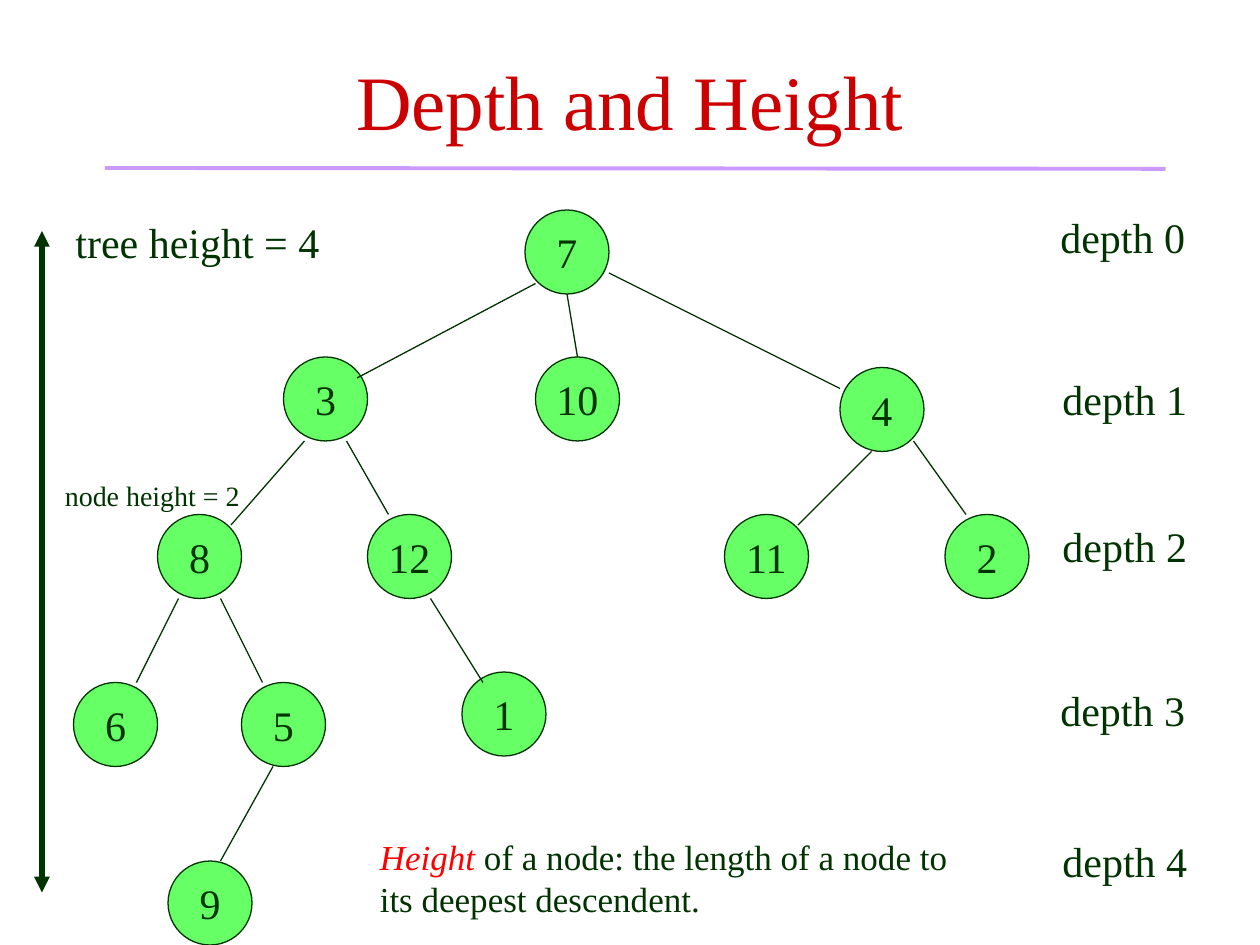
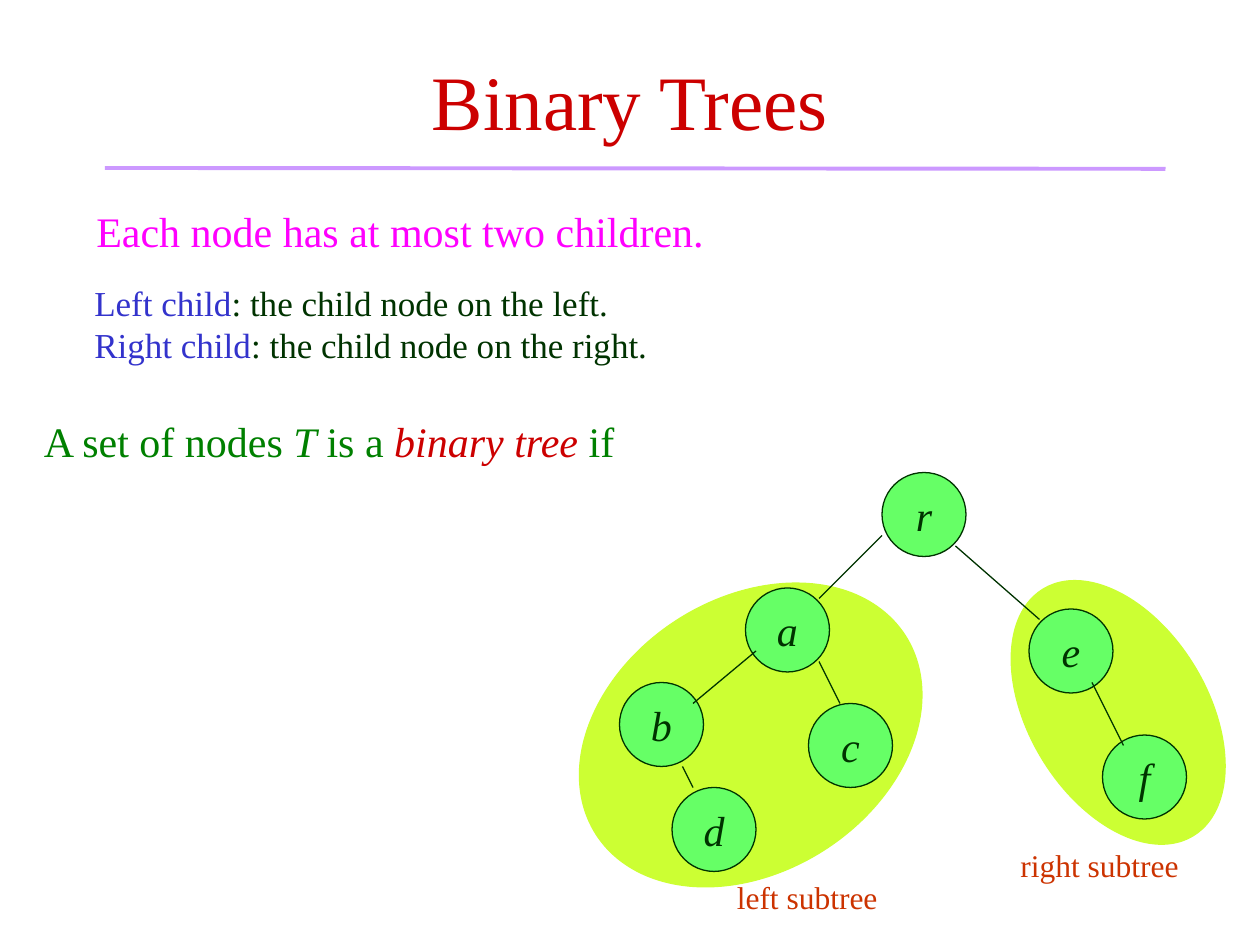
import pptx
import pptx.util
import pptx.dml.color
import pptx.enum.shapes
import pptx.enum.text
import pptx.oxml.ns
import lxml.etree

COLS, ROWS = 120, 90
FACE = "Times New Roman"
DARK, RED, HOT = "003300", "CC0000", "FF0000"
LEAF, LIME, LILAC = "66FF66", "CCFF33", "CC99FF"
PINK, BLUE, GREEN, RUST = "FF00FF", "3333CC", "008000", "CC3300"
DISC = 8


def tint(code):
    return pptx.dml.color.RGBColor.from_string(code)


class Deck:
    def __init__(self):
        self.file = pptx.Presentation()
        self.file.slide_width = pptx.util.Inches(10)
        self.file.slide_height = pptx.util.Inches(7.5)
        self.page = None

    def grid(self, x, y):
        return (round(x * self.file.slide_width / COLS),
                round(y * self.file.slide_height / ROWS))

    def place(self, x, y, w, h):
        return self.grid(x, y) + self.grid(w, h)

    def style(self, item, size, code, slant=False):
        item.font.name = FACE
        item.font.size = pptx.util.Pt(size)
        item.font.color.rgb = tint(code)
        item.font.italic = slant

    def start(self, title):
        self.page = self.file.slides.add_slide(self.file.slide_layouts[5])
        head = self.page.shapes.title
        head.left, head.top, head.width, head.height = self.place(9, 2, 102, 15)
        head.text_frame.text = title
        head.text_frame.vertical_anchor = pptx.enum.text.MSO_ANCHOR.MIDDLE
        line = head.text_frame.paragraphs[0]
        line.alignment = pptx.enum.text.PP_ALIGN.CENTER
        self.style(line, 44, RED)
        self.line(10, 16, 111, 16.08, LILAC, 2.25)

    def line(self, x1, y1, x2, y2, code=DARK, width=0.75, heads=False):
        link = self.page.shapes.add_connector(
            pptx.enum.shapes.MSO_CONNECTOR.STRAIGHT,
            *self.grid(x1, y1), *self.grid(x2, y2))
        link.line.color.rgb = tint(code)
        link.line.width = pptx.util.Pt(width)
        if heads:
            stroke = link.line._get_or_add_ln()
            for end in ("a:headEnd", "a:tailEnd"):
                lxml.etree.SubElement(stroke, pptx.oxml.ns.qn(end), type="triangle")
        lxml.etree.SubElement(link._element.spPr, pptx.oxml.ns.qn("a:effectLst"))

    def oval(self, x, y, w, h, fill, edge, turn=0):
        form = self.page.shapes.add_shape(
            pptx.enum.shapes.MSO_SHAPE.OVAL, *self.place(x, y, w, h))
        form.shadow.inherit = False
        form.fill.solid()
        form.fill.fore_color.rgb = tint(fill)
        form.line.color.rgb = tint(edge)
        form.line.width = pptx.util.Pt(0.75)
        form.rotation = turn
        return form

    def node(self, name, x, y, slant=False):
        frame = self.oval(x, y, DISC, DISC, LEAF, DARK).text_frame
        frame.word_wrap = False
        frame.vertical_anchor = pptx.enum.text.MSO_ANCHOR.MIDDLE
        frame.text = name
        frame.paragraphs[0].alignment = pptx.enum.text.PP_ALIGN.CENTER
        self.style(frame.paragraphs[0], 24, DARK, slant)

    def tree(self, nodes, links, slant=False):
        for name, x, y in nodes:
            self.node(name, x, y, slant)
        for ends in links:
            self.line(*ends)

    def text(self, x, y, w, h, size, code, *lines):
        frame = self.page.shapes.add_textbox(*self.place(x, y, w, h)).text_frame
        frame.word_wrap = False
        frame.auto_size = pptx.enum.text.MSO_AUTO_SIZE.SHAPE_TO_FIT_TEXT
        for i, runs in enumerate(lines):
            para = frame.add_paragraph() if i else frame.paragraphs[0]
            self.style(para, size, code)
            for words, hue, slant in runs:
                run = para.add_run()
                run.text = words
                if hue != code:
                    run.font.color.rgb = tint(hue)
                if slant:
                    run.font.italic = True

    def label(self, x, y, w, h, words, size=24, code=DARK):
        self.text(x, y, w, h, size, code, [(words, code, False)])


deck = Deck()

deck.start("Depth and Height")
deck.tree(
    [("7", 50, 20), ("3", 27, 34), ("10", 51, 34), ("4", 80, 35),
     ("8", 15, 49), ("12", 35, 49), ("11", 69, 49), ("2", 90, 49),
     ("6", 7, 65), ("5", 23, 65), ("1", 44, 64), ("9", 16, 82)],
    [(54, 28, 55, 34), (51, 27, 34, 36), (58, 26, 80, 37),
     (29, 42, 22, 50), (33, 42, 37, 49), (83, 43, 76, 50),
     (87, 42, 92, 49), (17, 57, 13, 65), (21, 57, 25, 65),
     (41, 57, 46, 65), (26, 73, 21, 82)])
deck.line(4, 85, 4, 22, width=3, heads=True)
deck.label(6, 20, 25.8, 6.1, "tree height = 4")
for depth, (x, y) in enumerate(
        [(99.8, 19.6), (100, 35), (100, 49), (99.8, 64.6), (100, 79)]):
    deck.label(x, y, 14.3, 6, f"depth {depth}")
deck.label(5, 45, 19.1, 4.4, "node height = 2", 16)
deck.text(35, 79, 56.9, 9.2, 20, DARK,
          [("Height", HOT, True),
           (" of a node: the length of a node to", DARK, False)],
          [("its deepest descendent. ", DARK, False)])

deck.start("Binary Trees")
deck.label(8, 19, 61.2, 6, "Each node has at most two children. ", code=PINK)
deck.text(7.8, 26.2, 55.7, 9.2, 20, DARK,
          [("Left child", BLUE, False),
           (": the child node on the left.", DARK, False)],
          [("Right child", BLUE, False),
           (": the child node on the right. ", DARK, False)])
deck.text(3, 39, 57.1, 6, 24, GREEN,
          [("A set of nodes ", GREEN, False), ("T ", GREEN, True),
           ("is a ", GREEN, False), ("binary tree ", RED, True),
           ("if", GREEN, False)])
deck.oval(54, 57, 35, 26, LIME, LIME, 327.2)
deck.oval(98, 54.1, 17, 27.5, LIME, LIME, 328.7)
deck.tree(
    [("r", 84, 45), ("a", 71, 56), ("b", 59, 65), ("c", 77, 67),
     ("d", 64, 75), ("e", 98, 58), ("f", 105, 70)],
    [(84, 51, 78, 57), (91, 52, 99, 59), (72, 62, 66, 67),
     (78, 63, 80, 67), (65, 73, 66, 75), (104, 65, 107, 71)],
    slant=True)
deck.label(69, 83, 15.8, 4.8, "left subtree", 18, RUST)
deck.label(96, 80, 17.5, 4.8, "right subtree", 18, RUST)

deck.file.save("out.pptx")
